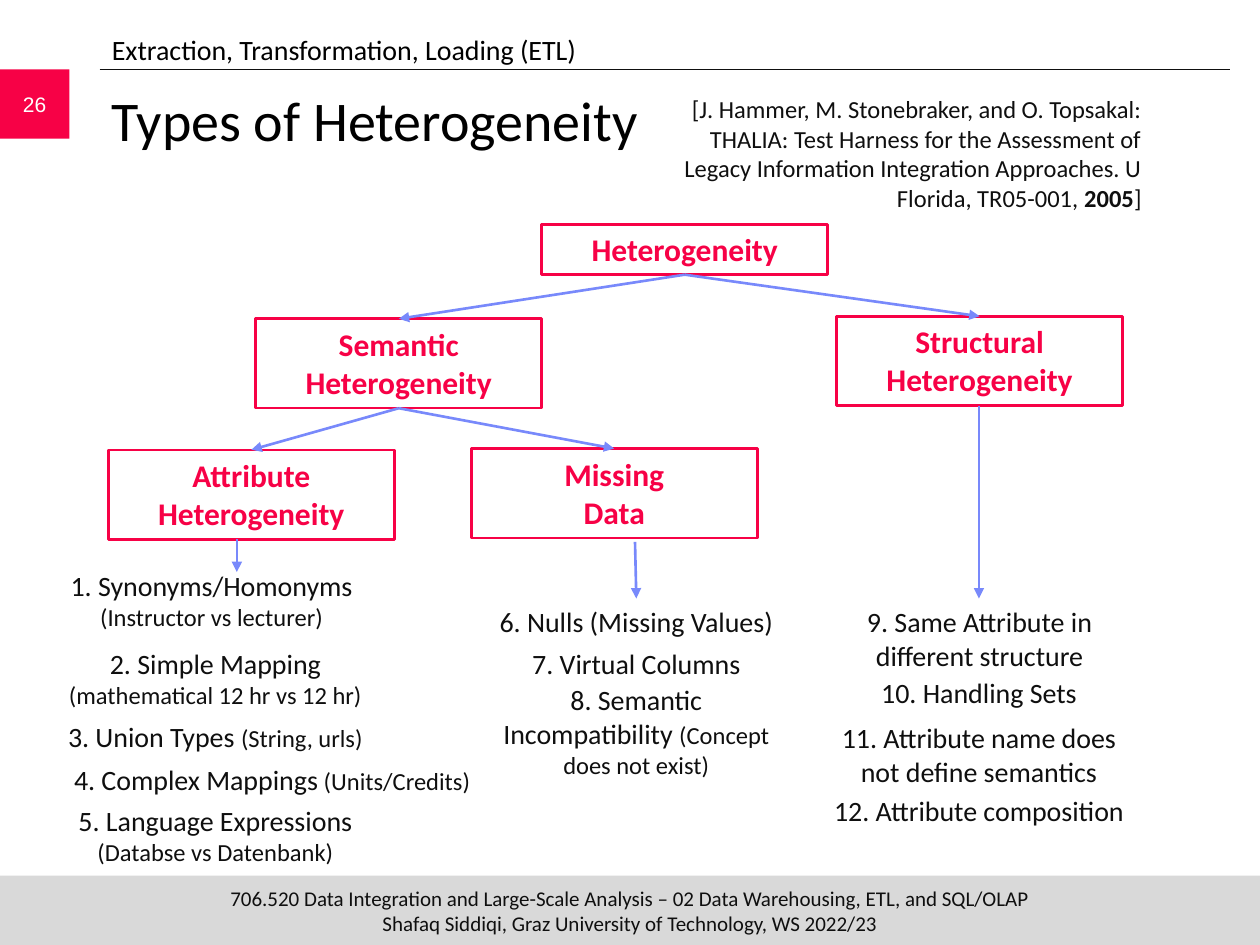
import pptx
import pptx.dml.color
import pptx.enum.shapes
import pptx.enum.text
import pptx.util
from lxml import etree

COLUMNS, ROWS = 100, 75
CELL = pptx.util.Inches(0.1)
PINK, INK, BLUE = "F70146", "0F0F0F", "7889FB"
ALIGN = pptx.enum.text.PP_ALIGN
ANCHOR = pptx.enum.text.MSO_ANCHOR
TOP, BOTTOM = 0, 2  # connection sites of a rectangle


def cells(*counts):
    return [round(count * CELL) for count in counts]


def color(hex_code):
    return pptx.dml.color.RGBColor.from_string(hex_code)


def write(shape, runs, size, ink=INK, align=ALIGN.CENTER, font="Calibri",
          anchor=ANCHOR.TOP, bold=None, inset=None):
    """Fill a shape with one paragraph of (text, overrides) runs."""
    frame = shape.text_frame
    frame.word_wrap = True
    frame.vertical_anchor = anchor
    if inset is not None:
        frame.margin_left = frame.margin_right = cells(inset[0])[0]
        frame.margin_top = frame.margin_bottom = cells(inset[1])[0]
    paragraph = frame.paragraphs[0]
    paragraph.alignment = align
    paragraph.font.size = pptx.util.Pt(size)
    paragraph.font.name = font
    paragraph.font.bold = bold
    paragraph.font.color.rgb = color(ink)
    for text, overrides in runs:
        for number, line in enumerate(text.split("\n")):
            if number:
                paragraph.add_line_break()
            run = paragraph.add_run()
            run.text = line
            if "size" in overrides:
                run.font.size = pptx.util.Pt(overrides["size"])
            if "bold" in overrides:
                run.font.bold = overrides["bold"]


def add_text(slide, box, runs, size, **style):
    write(slide.shapes.add_textbox(*cells(*box)), runs, size, **style)


def add_box(slide, box, fill, outline=None):
    shape = slide.shapes.add_shape(
        pptx.enum.shapes.MSO_SHAPE.RECTANGLE, *cells(*box))
    shape.shadow.inherit = False
    shape.fill.solid()
    shape.fill.fore_color.rgb = color(fill)
    if outline:
        shape.line.color.rgb = color(outline)
        shape.line.width = pptx.util.Pt(1.5)
    else:
        shape.line.fill.background()
    return shape


def add_line(slide, ends, ink=BLUE, width=1.5, arrow=True):
    line = slide.shapes.add_connector(
        pptx.enum.shapes.MSO_CONNECTOR.STRAIGHT, *cells(*ends))
    line.line.color.rgb = color(ink)
    line.line.width = pptx.util.Pt(width)
    namespace = "{http://schemas.openxmlformats.org/drawingml/2006/main}"
    if arrow:
        etree.SubElement(line.line._get_or_add_ln(),
                         namespace + "tailEnd", type="triangle")
    etree.SubElement(line._element.spPr, namespace + "effectLst")
    return line


def add_header(slide, box):
    left, top, width, height = box
    add_line(slide, (left + 7.9, top + 5.5, left + width - 2.4, top + 5.5),
             INK, 0.5, arrow=False)
    page = add_box(slide, (left, top + 5.5, 5.5, 5.5), PINK)
    write(page, [("26", {})], 12, "FFFFFF", font="Arial", anchor=ANCHOR.MIDDLE)
    add_text(slide, (left + 7.9, top + 2.1, 90, 3.6),
             [("Extraction, Transformation, Loading (ETL)", {})],
             16, ink="000000", align=ALIGN.LEFT)
    add_text(slide, (left + 7.9, top + 6.3, 89.6, 8.3),
             [("Types of Heterogeneity", {})],
             32, ink="000000", align=ALIGN.LEFT)
    add_text(slide, (left + 51, top + 7, 39.6, height - 7), [
        ("[J. Hammer, M. Stonebraker, and O. Topsakal: THALIA: Test Harness "
         "for the Assessment of Legacy Information Integration Approaches. "
         "U Florida, TR05-001, ", {}),
        ("2005", {"bold": True}), ("]", {})],
        14, align=ALIGN.RIGHT, inset=(0, 0.5))


def add_tree(slide, box):
    left, top = box[:2]
    labels = {  # label: (column, row, height) within the tree
        "Heterogeneity": (34.4, 0, 4),
        "Structural Heterogeneity": (57.8, 7.3, 7.1),
        "Semantic Heterogeneity": (11.7, 7.5, 7.1),
        "Attribute Heterogeneity": (0, 17.9, 7.1),
        "Missing\nData": (28.8, 17.8, 7.1),
    }
    nodes = {}
    for label, (column, row, height) in labels.items():
        node = add_box(slide, (left + column, top + row, 22.7, height),
                       "FFFFFF", PINK)
        write(node, [(label, {})], 18, PINK, bold=True)
        nodes[label] = node
    for parent, child in (
            ("Heterogeneity", "Semantic Heterogeneity"),
            ("Heterogeneity", "Structural Heterogeneity"),
            ("Semantic Heterogeneity", "Missing\nData"),
            ("Semantic Heterogeneity", "Attribute Heterogeneity")):
        branch = add_line(slide, (0, 0, 0, 0))
        branch.begin_connect(nodes[parent], BOTTOM)
        branch.end_connect(nodes[child], TOP)


def add_examples(slide, box, arrow, items):
    """Place items (column, row, width, height, text, remark) under an arrow."""
    left, top = box
    x1, y1, x2, y2 = arrow
    add_line(slide, (left + x1, top + y1, left + x2, top + y2))
    for column, row, width, height, text, remark in items:
        runs = [(text, {})]
        if remark:
            runs.append((remark, {"size": 14}))
        add_text(slide, (left + column, top + row, width, height), runs, 16)


def add_footer(slide, box):
    bar = add_box(slide, box, "D9D9D9")
    write(bar, [("706.520 Data Integration and Large-Scale Analysis – 02 Data "
                 "Warehousing, ETL, and SQL/OLAP\n"
                 "Shafaq Siddiqi, Graz University of Technology, WS 2022/23",
                 {})], 12, anchor=ANCHOR.MIDDLE, inset=(0, 0))


def main():
    deck = pptx.Presentation()
    deck.slide_width, deck.slide_height = cells(COLUMNS, ROWS)
    slide = deck.slides.add_slide(deck.slide_layouts[6])
    add_footer(slide, (0, ROWS - 5.5, COLUMNS, 5.5))
    add_header(slide, (0, 0, COLUMNS, 17.4))
    add_tree(slide, (8.6, 17.8, 80.5, 25))
    add_examples(slide, (1.8, 44.6), (17, -1.8, 17, 0.8), [
        (-0.3, 0, 30.6, 6.1, "1. Synonyms/Homonyms ",
         "(Instructor vs lecturer)"),
        (0, 6.2, 30.6, 6.1, "2. Simple Mapping ",
         "(mathematical 12 hr vs 12 hr)"),
        (0, 12, 30.6, 3.7, "3. Union Types ", "(String, urls)"),
        (0, 15.4, 39.6, 3.7, "4. Complex Mappings", " (Units/Credits)"),
        (0, 18.7, 30.6, 6.1, "5. Language Expressions ",
         "(Databse vs Datenbank)")])
    add_examples(slide, (37.6, 47.5), (12.8, -4.5, 12.9, 0), [
        (0, 0, 25.8, 3.7, "6. Nulls (Missing Values)", ""),
        (0, 3.3, 25.8, 3.7, "7. Virtual Columns", ""),
        (0, 6.2, 25.8, 9.1, "8. Semantic Incompatibility ",
         "(Concept does not exist)")])
    add_examples(slide, (64.8, 47.5), (12.9, -15.3, 12.9, 0), [
        (-0.7, 0, 27.3, 6.4, "9. Same Attribute in different structure", ""),
        (0, 5.6, 25.8, 3.7, "10. Handling Sets", ""),
        (0, 9.2, 25.8, 6.4, "11. Attribute name does not define semantics",
         ""),
        (0, 15, 25.8, 3.7, "12. Attribute composition", "")])
    deck.save("out.pptx")


if __name__ == "__main__":
    main()
